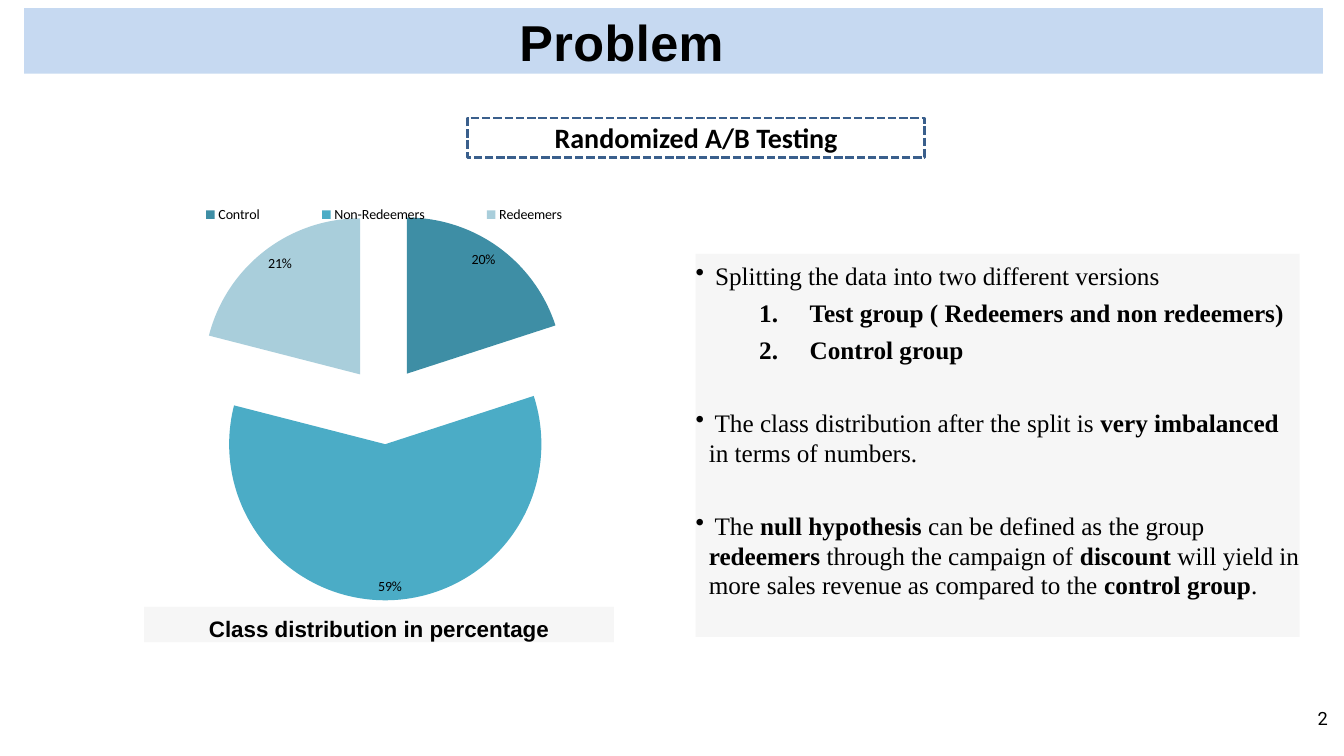
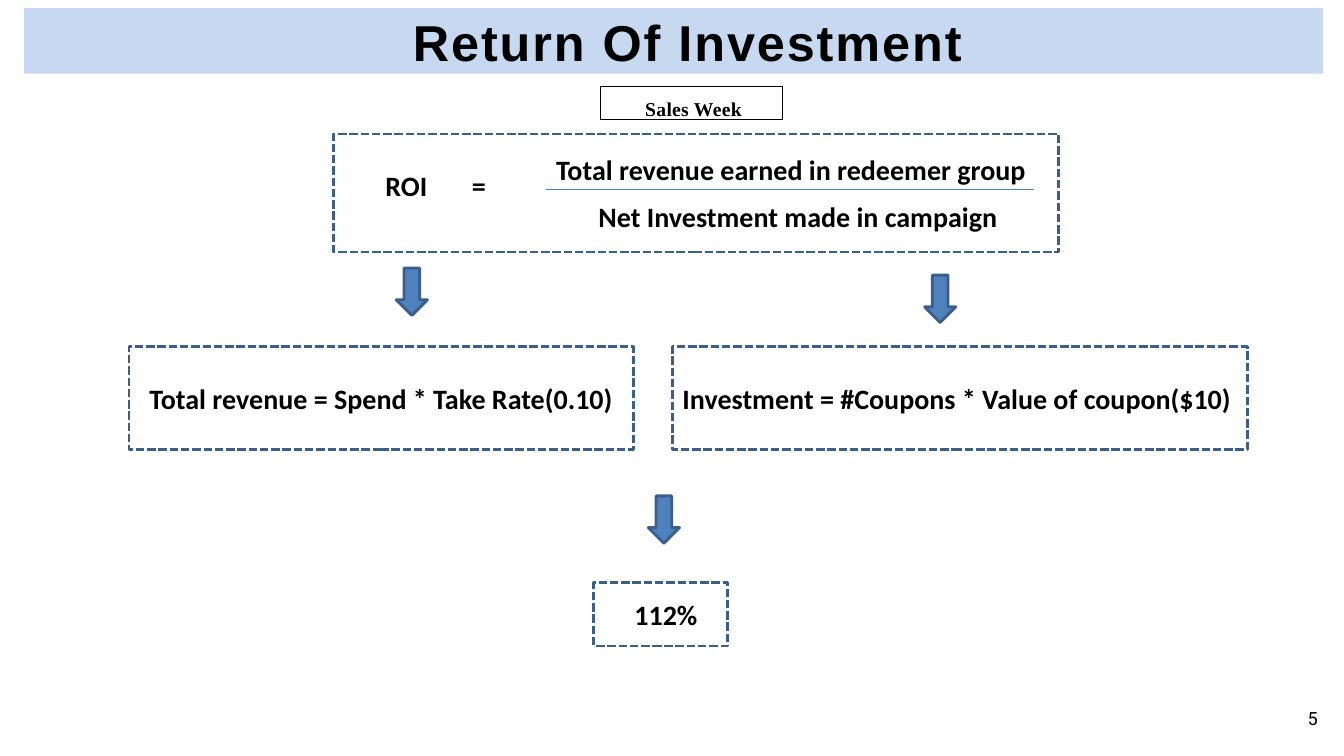
from lxml.etree import SubElement
from pptx import Presentation
from pptx.chart.data import CategoryChartData
from pptx.dml.color import RGBColor
from pptx.enum.chart import XL_CHART_TYPE, XL_LABEL_POSITION, XL_LEGEND_POSITION
from pptx.enum.dml import MSO_LINE
from pptx.enum.shapes import MSO_CONNECTOR, MSO_SHAPE
from pptx.enum.text import MSO_ANCHOR, MSO_AUTO_SIZE, PP_ALIGN
from pptx.oxml import parse_xml
from pptx.oxml.ns import nsdecls, qn
from pptx.util import Pt

PX = 9144  # one hundredth of an inch
TITLE_ONLY = 5
COLORS = {
    "text": "000000", "band": "C6D9F1", "panel": "F1F1F1", "white": "FFFFFF",
    "dash": "3A5F8C", "arrow": "4F81BD", "fraction": "4B7EBC",
    "control": "3E8EA5", "non_redeemers": "4BACC6", "redeemers": "A9CEDB",
}


def rgb(name):
    return RGBColor.from_string(COLORS[name])


def emu(*lengths):
    return [length * PX for length in lengths]


def style_font(font, size, name, bold=False):
    font.size, font.name, font.bold = Pt(size), name, bold
    font.color.rgb = rgb("text")


def set_frame(frame, insets, anchor=MSO_ANCHOR.TOP):
    """Apply insets given as left, top, right, bottom."""
    frame.word_wrap = True
    frame.auto_size = MSO_AUTO_SIZE.NONE
    frame.vertical_anchor = anchor
    (frame.margin_left, frame.margin_top,
     frame.margin_right, frame.margin_bottom) = emu(*insets)


def write_line(frame, text, size, font, bold=True, align=PP_ALIGN.CENTER, spacing=0):
    """Fill the frame with one line; spacing is in hundredths of a point."""
    para = frame.paragraphs[0]
    para.text, para.alignment = text, align
    style_font(para.font, size, font, bold)
    if spacing:
        para._p.pPr.find(qn("a:defRPr")).set("spc", str(spacing))


def add_block(page, box, kind=MSO_SHAPE.RECTANGLE, fill=None, alpha=None,
              line=None, weight=2, dash=None):
    block = page.shapes.add_shape(kind, *emu(*box))
    block.shadow.inherit = False
    if fill:
        block.fill.solid()
        block.fill.fore_color.rgb = rgb(fill)
        if alpha:
            color = block.element.spPr.find(qn("a:solidFill"))[0]
            SubElement(color, qn("a:alpha")).set("val", str(alpha * 1000))
    else:
        block.fill.background()
    if line:
        block.line.color.rgb = rgb(line)
        block.line.width = Pt(weight)
        if dash:
            block.line.dash_style = dash
    else:
        block.line.fill.background()
    return block


def add_dashed_box(page, box, text="", align=PP_ALIGN.CENTER, left_inset=10):
    block = add_block(page, box, line="dash", dash=MSO_LINE.SQUARE_DOT)
    if text:
        set_frame(block.text_frame, (left_inset, 5, 10, 5), MSO_ANCHOR.MIDDLE)
        write_line(block.text_frame, text, 20, "Calibri", align=align)


def add_label(page, box, text):
    label = page.shapes.add_textbox(*emu(*box))
    set_frame(label.text_frame, (0, 5, 0, 5), MSO_ANCHOR.MIDDLE)
    write_line(label.text_frame, text, 20, "Calibri")


def add_page(deck, title, title_box, spacing, number, number_left):
    """Add a slide with the title band and the page number."""
    page = deck.slides.add_slide(deck.slide_layouts[TITLE_ONLY])
    heading = page.shapes.title
    heading.left, heading.top, heading.width, heading.height = emu(*title_box)
    set_frame(heading.text_frame, (0, 1, 0, 0))
    write_line(heading.text_frame, title, 36, "Arial", spacing=spacing)
    band = add_block(page, (24, 8, 1288, 65), fill="band")
    band.element.addnext(heading.element)
    footer = page.shapes.add_textbox(*emu(number_left, 701, 23, 23))
    set_frame(footer.text_frame, (1, 1, 0, 0))
    write_line(footer.text_frame, number, 13, "Roboto", bold=False,
               align=PP_ALIGN.LEFT, spacing=-10)
    return page


def place_manually(parent, index, x, y, width, height, inner=False):
    """Give a chart part a fixed place, in fractions of the chart."""
    for layout in parent.findall(qn("c:layout")):
        parent.remove(layout)
    target = '<c:layoutTarget val="inner"/>' if inner else ""
    parent.insert(index, parse_xml(
        f'<c:layout {nsdecls("c")}><c:manualLayout>{target}'
        '<c:xMode val="edge"/><c:yMode val="edge"/>'
        f'<c:x val="{x}"/><c:y val="{y}"/><c:w val="{width}"/><c:h val="{height}"/>'
        '</c:manualLayout></c:layout>'))


def add_class_pie(page, box):
    data = CategoryChartData()
    data.categories = ["Control", "Non-Redeemers", "Redeemers"]
    data.add_series("Series 1", (20, 59, 21))
    chart = page.shapes.add_chart(XL_CHART_TYPE.PIE, *emu(*box), data).chart
    style_font(chart.font, 10, "Calibri")
    chart.has_title = False
    chart.has_legend = True
    chart.legend.position = XL_LEGEND_POSITION.TOP
    chart.legend.include_in_layout = False
    place_manually(chart.legend._element, 1, 0.09, 0.08, 0.82, 0.06)

    plot = chart.plots[0]
    plot.vary_by_categories = True
    plot.has_data_labels = True
    labels = plot.data_labels
    labels.show_percentage, labels.show_value = True, False
    labels.number_format, labels.number_format_is_linked = "0%", False
    labels.position = XL_LABEL_POSITION.INSIDE_END
    series = plot.series[0]
    for index, name in enumerate(("control", "non_redeemers", "redeemers")):
        fill = series.points[index].format.fill
        fill.solid()
        fill.fore_color.rgb = rgb(name)
    series._element.find(qn("c:dPt")).addprevious(
        parse_xml(f'<c:explosion {nsdecls("c")} val="25"/>'))
    place_manually(chart._chartSpace.chart.plotArea, 0, 0.16, 0.1, 0.68, 0.87, inner=True)


def add_notes_panel(page, box):
    """Bulleted text; every second part between bars is bold."""
    panel = add_block(page, box, fill="panel", alpha=61)
    frame = panel.text_frame
    set_frame(frame, (0, 7, 0, 0))
    bullet, number = ("buChar", "char", "•"), ("buAutoNum", "type", "arabicPeriod")
    items = [
        (bullet, 5.2, " Splitting the data into two different versions"),
        (number, 5.2, "|Test group ( Redeemers and non redeemers)"),
        (number, 5.2, "|Control group"),
        (bullet, 31.5, " The class distribution after the split is |very imbalanced"
                       "| in terms of numbers."),
        (bullet, 31.5, " The |null hypothesis |can be defined as the group |redeemers"
                       "| through the campaign of |discount| will yield in more sales"
                       " revenue as compared to the |control group|."),
    ]
    for index, (marker, gap, text) in enumerate(items):
        para = frame.add_paragraph() if index else frame.paragraphs[0]
        para.alignment = PP_ALIGN.LEFT
        para.line_spacing, para.space_before = Pt(21.1), Pt(gap)
        margin, indent = (113, -50) if marker is number else (13, -13)
        para.level = 1 if marker is number else 0
        properties = para._p.get_or_add_pPr()
        properties.set("marL", str(margin * PX))
        properties.set("indent", str(indent * PX))
        tag, key, value = marker
        SubElement(properties, qn(f"a:{tag}")).set(key, value)
        style_font(para.font, 18, "Times New Roman")
        for part, words in enumerate(text.split("|")):
            if words:
                span = para.add_run()
                span.text = words
                span.font.bold = part % 2 == 1


def add_caption(page, box, text):
    caption = add_block(page, box, fill="panel", alpha=61)
    set_frame(caption.text_frame, (0, 8, 0, 0))
    write_line(caption.text_frame, text, 16, "Arial")


def add_week_tag(page, box, text):
    tag = add_block(page, box, fill="white", alpha=61, line="text", weight=0.72)
    set_frame(tag.text_frame, (44, 10, 0, 0))
    write_line(tag.text_frame, text, 14, "Times New Roman",
               align=PP_ALIGN.LEFT, spacing=20)


def add_roi_formula(page, box):
    left, top, width, height = box
    add_dashed_box(page, box)
    bar_y = top + 55
    bar = page.shapes.add_connector(
        MSO_CONNECTOR.STRAIGHT, *emu(left + 211, bar_y, left + 695, bar_y))
    bar.line.color.rgb = rgb("fraction")
    bar.line.width = Pt(0.75)
    SubElement(bar.element.spPr, qn("a:effectLst"))
    for x, y, label_width, text in (
            (172, 15, 563, "Total revenue earned in redeemer group"),
            (234, 62, 453, "Net Investment made in campaign"),
            (42, 31, 60, "ROI"),
            (129, 31, 30, "=")):
        add_label(page, (left + x, top + y, label_width, 39), text)


def add_down_arrow(page, left, top):
    add_block(page, (left, top, 31, 47), MSO_SHAPE.DOWN_ARROW, fill="arrow", line="dash")


def build_problem(deck):
    page = add_page(deck, "Problem", (312, 10, 609, 62), 30, "2", 1306)
    add_notes_panel(page, (690, 252, 599, 380))
    add_caption(page, (143, 602, 466, 35), "Class distribution in percentage")
    add_class_pie(page, (96, 164, 570, 445))
    add_dashed_box(page, (464, 117, 453, 39), "Randomized A/B Testing")


def build_return(deck):
    page = add_page(deck, "Return Of Investment", (221, 10, 922, 62), 140, "5", 1296)
    add_roi_formula(page, (331, 133, 719, 117))
    add_dashed_box(page, (128, 344, 500, 102), "Total revenue = Spend * Take Rate(0.10)")
    add_dashed_box(page, (667, 344, 570, 102),
                   "Investment = #Coupons * Value of coupon($10)", PP_ALIGN.LEFT)
    add_dashed_box(page, (589, 578, 133, 63), "112%", left_inset=20)
    for left, top in ((393, 266), (917, 273), (643, 492)):
        add_down_arrow(page, left, top)
    add_week_tag(page, (596, 86, 180, 33), "Sales Week")


def main():
    deck = Presentation()
    deck.slide_width, deck.slide_height = emu(1333, 750)
    build_problem(deck)
    build_return(deck)
    deck.save("out.pptx")


if __name__ == "__main__":
    main()
